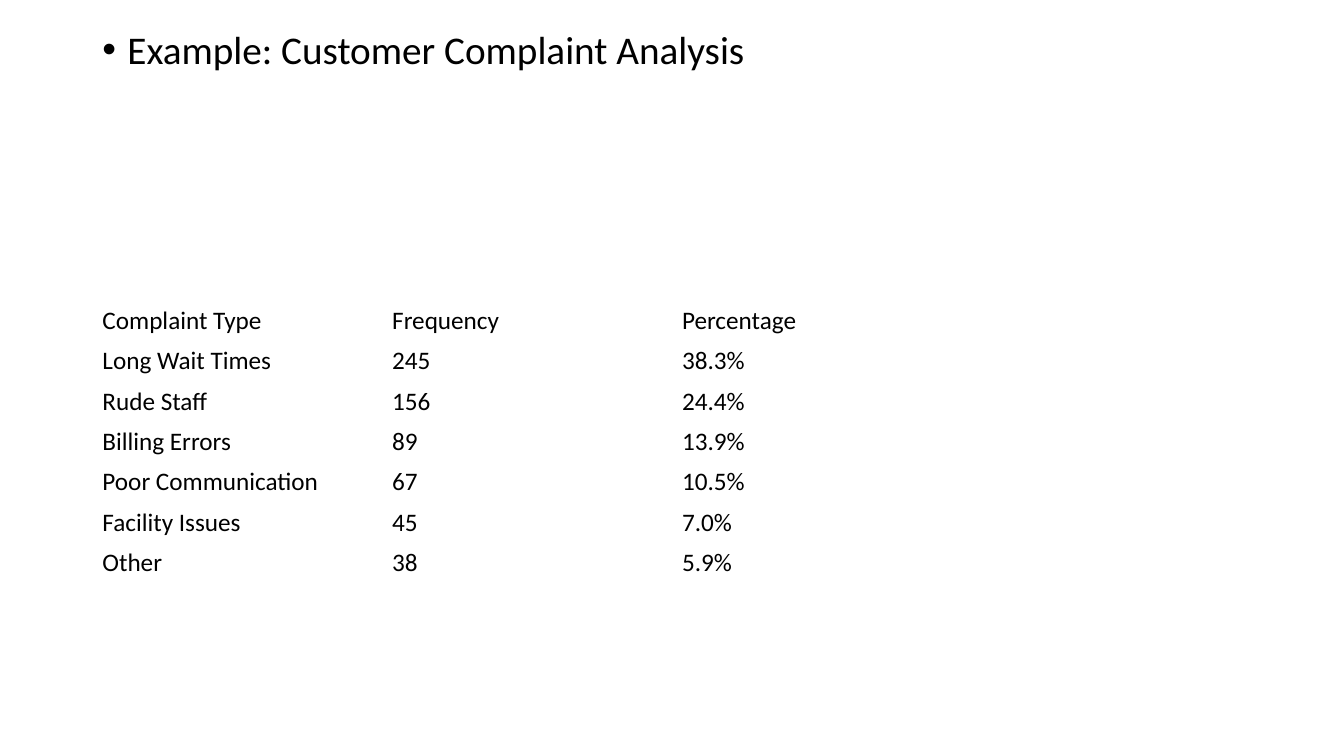
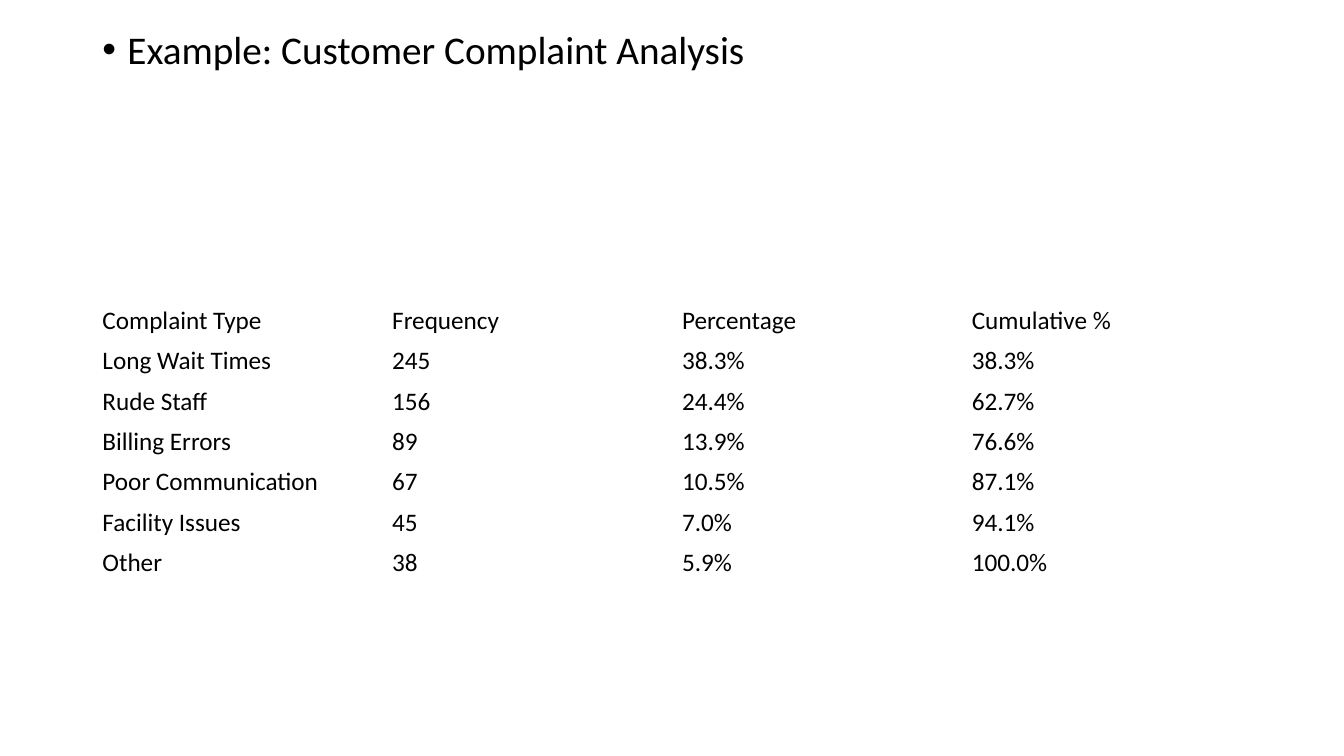
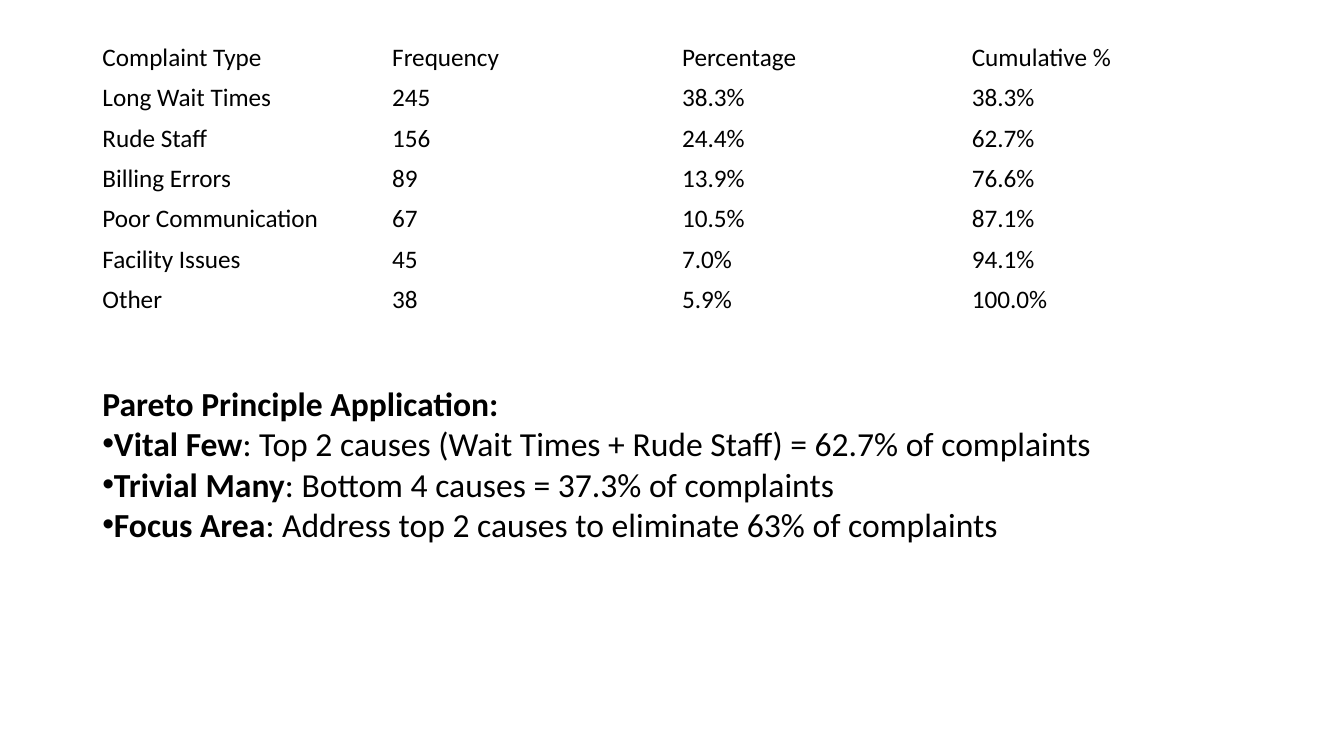
from dataclasses import dataclass

from lxml import etree
from pptx import Presentation
from pptx.dml.color import RGBColor
from pptx.enum import text
from pptx.oxml import ns
from pptx.util import Pt


@dataclass(frozen=True)
class Theme:
    font: str = "Calibri"
    ink: RGBColor = RGBColor(0, 0, 0)
    paper: RGBColor = RGBColor(255, 255, 255)
    title: int = 28
    body: int = 24
    cell: int = 18


THEME = Theme()
LEFT, WIDE = 66, 828
COL, ROW = 207, 28.8

TITLE = "Example: Customer Complaint Analysis"
DATA = [
    ("Complaint Type", "Frequency", "Percentage", "Cumulative %"),
    ("Long Wait Times", "245", "38.3%", "38.3%"),
    ("Rude Staff", "156", "24.4%", "62.7%"),
    ("Billing Errors", "89", "13.9%", "76.6%"),
    ("Poor Communication", "67", "10.5%", "87.1%"),
    ("Facility Issues", "45", "7.0%", "94.1%"),
    ("Other", "38", "5.9%", "100.0%"),
]
HEAD = "Pareto Principle Application:"
POINTS = [
    ("Vital Few", ": Top 2 causes (Wait Times + Rude Staff) = 62.7% of complaints"),
    ("Trivial Many", ": Bottom 4 causes = 37.3% of complaints"),
    ("Focus Area", ": Address top 2 causes to eliminate 63% of complaints"),
]


def style(run, size, bold=False):
    font = run.font
    font.name, font.size, font.bold = THEME.font, Pt(size), bold
    font.color.rgb = THEME.ink


def bullet(para, hang=0):
    props = para._p.get_or_add_pPr()
    props.set("marL", str(Pt(hang)))
    props.set("indent", str(-Pt(hang)))
    etree.SubElement(props, ns.qn("a:buFont"), typeface="Arial")
    etree.SubElement(props, ns.qn("a:buChar"), char="•")


def add_box(slide, left, top, width, height):
    box = slide.shapes.add_textbox(Pt(left), Pt(top), Pt(width), Pt(height))
    box.text_frame.word_wrap = True
    return box.text_frame


def add_title(slide, left, top, width, height):
    para = add_box(slide, left, top, width, height).paragraphs[0]
    para.text = TITLE
    bullet(para, 18)
    para.line_spacing = 0.9
    style(para.runs[0], THEME.title)


def add_grid(slide, left, top, cols):
    frame = slide.shapes.add_table(len(DATA), cols, Pt(left), Pt(top),
                                   Pt(cols * COL), Pt(len(DATA) * ROW))
    table = frame.table
    table.first_row = table.horz_banding = False
    for r, row in enumerate(DATA):
        for c, word in enumerate(row[:cols]):
            cell = table.cell(r, c)
            cell.fill.background()
            cell.vertical_anchor = text.MSO_ANCHOR.MIDDLE
            cell.text_frame.text = word
            style(cell.text_frame.paragraphs[0].runs[0], THEME.cell)


def add_points(slide, left, top, width, height):
    frame = add_box(slide, left, top, width, height)
    frame.auto_size = text.MSO_AUTO_SIZE.SHAPE_TO_FIT_TEXT
    # Heading
    frame.text = HEAD
    style(frame.paragraphs[0].runs[0], THEME.body, True)
    # Bold lead, then plain text
    for lead, rest in POINTS:
        para = frame.add_paragraph()
        para.text = lead
        bullet(para)
        style(para.runs[0], THEME.body, True)
        tail = para.add_run()
        tail.text = rest
        style(tail, THEME.body)


def new_slide(deck):
    slide = deck.slides.add_slide(deck.slide_layouts[6])
    fill = slide.background.fill
    fill.solid()
    fill.fore_color.rgb = THEME.paper
    return slide


def main():
    deck = Presentation()
    deck.slide_width, deck.slide_height = Pt(960), Pt(540)

    # Complaints, without and with the cumulative column
    for cols in (3, 4):
        slide = new_slide(deck)
        add_title(slide, LEFT, 18, WIDE, 343)
        add_grid(slide, LEFT, 214.5, cols)

    # Full table and its reading
    slide = new_slide(deck)
    add_grid(slide, LEFT, 26.7, 4)
    add_points(slide, LEFT, 270, 811, 124)

    deck.save("out.pptx")


if __name__ == "__main__":
    main()
